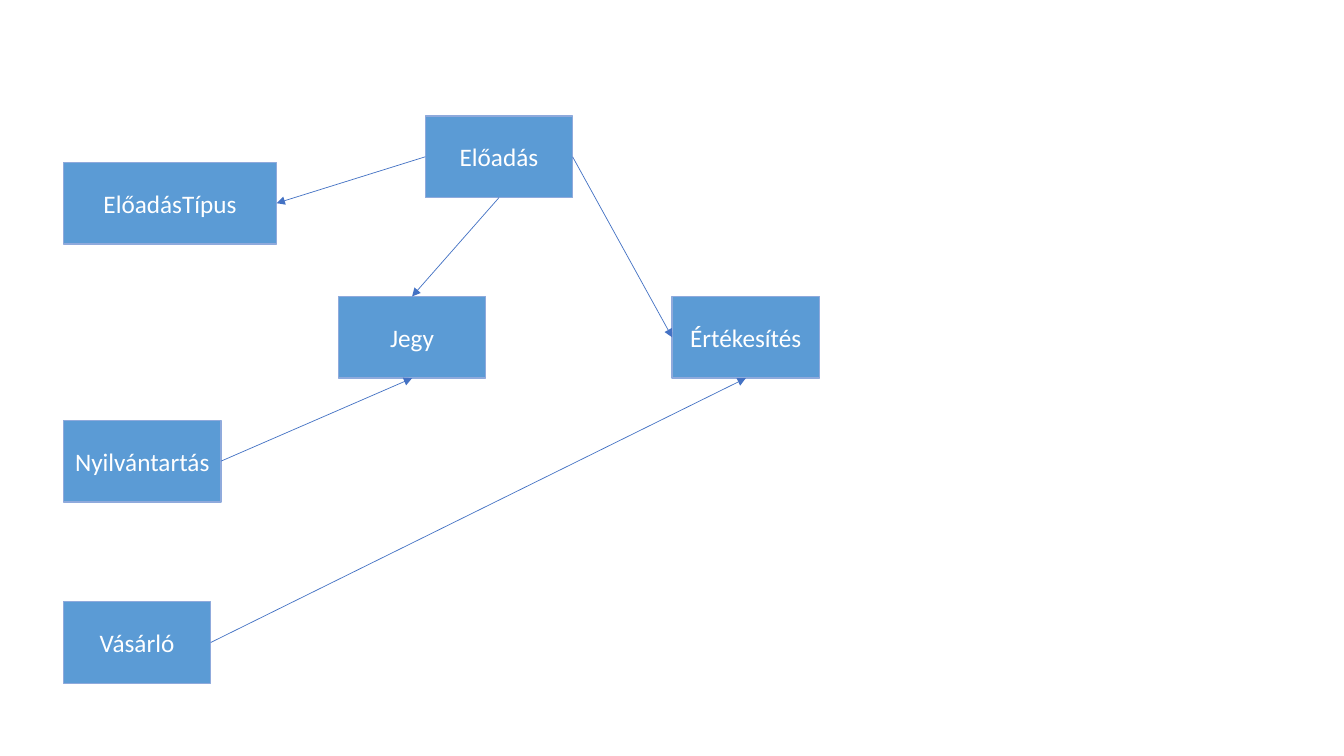
"""Build a slide showing how the entities of a ticket office relate."""
from lxml import etree
from pptx import Presentation, util as u
from pptx.dml.color import RGBColor
from pptx.enum import shapes, text
from pptx.oxml.ns import qn


def paint(color_format, hex_color):
    color_format.rgb = RGBColor.from_string(hex_color)


deck = Presentation()
deck.slide_width = u.Cm(33.87)
deck.slide_height = u.Cm(19.05)
slide = deck.slides.add_slide(deck.slide_layouts[6])

TOP, LEFT, BOTTOM, RIGHT = range(4)
ENTITY_HEIGHT = 2.06
entity_places = [
    ("Jegy", 8.53, 7.47, 3.71),
    ("Előadás", 10.72, 2.92, 3.71),
    ("ElőadásTípus", 1.6, 4.09, 5.37),
    ("Nyilvántartás", 1.6, 10.59, 3.97),
    ("Értékesítés", 16.94, 7.47, 3.71),
    ("Vásárló", 1.6, 15.16, 3.71),
]
entities = {}
for name, left, top, width in entity_places:
    entity = slide.shapes.add_shape(
        shapes.MSO_SHAPE.RECTANGLE,
        u.Cm(left), u.Cm(top), u.Cm(width), u.Cm(ENTITY_HEIGHT))
    entity.shadow.inherit = False
    entity.fill.solid()
    paint(entity.fill.fore_color, "5B9BD5")
    paint(entity.line.color, "8FAADC")
    entity.line.width = u.Pt(1)
    entity.text_frame.word_wrap = True
    entity.text_frame.vertical_anchor = text.MSO_ANCHOR.MIDDLE
    paragraph = entity.text_frame.paragraphs[0]
    paragraph.alignment = text.PP_ALIGN.CENTER
    label = paragraph.add_run()
    label.text = name
    label.font.name = "Calibri"
    label.font.size = u.Pt(18)
    paint(label.font.color, "FFFFFF")
    entities[name] = entity

relations = [
    ("Vásárló", RIGHT, "Értékesítés", BOTTOM),
    ("Nyilvántartás", RIGHT, "Jegy", BOTTOM),
    ("Előadás", BOTTOM, "Jegy", TOP),
    ("Előadás", RIGHT, "Értékesítés", LEFT),
    ("Előadás", LEFT, "ElőadásTípus", RIGHT),
]
for source, source_side, target, target_side in relations:
    relation = slide.shapes.add_connector(
        shapes.MSO_CONNECTOR.STRAIGHT, 0, 0, 0, 0)
    relation.begin_connect(entities[source], source_side)
    relation.end_connect(entities[target], target_side)
    paint(relation.line.color, "4472C4")
    relation.line.width = u.Pt(0.5)
    etree.SubElement(relation.line._get_or_add_ln(), qn("a:tailEnd"), type="triangle")
    etree.SubElement(relation._element.spPr, qn("a:effectLst"))

deck.save("out.pptx")
